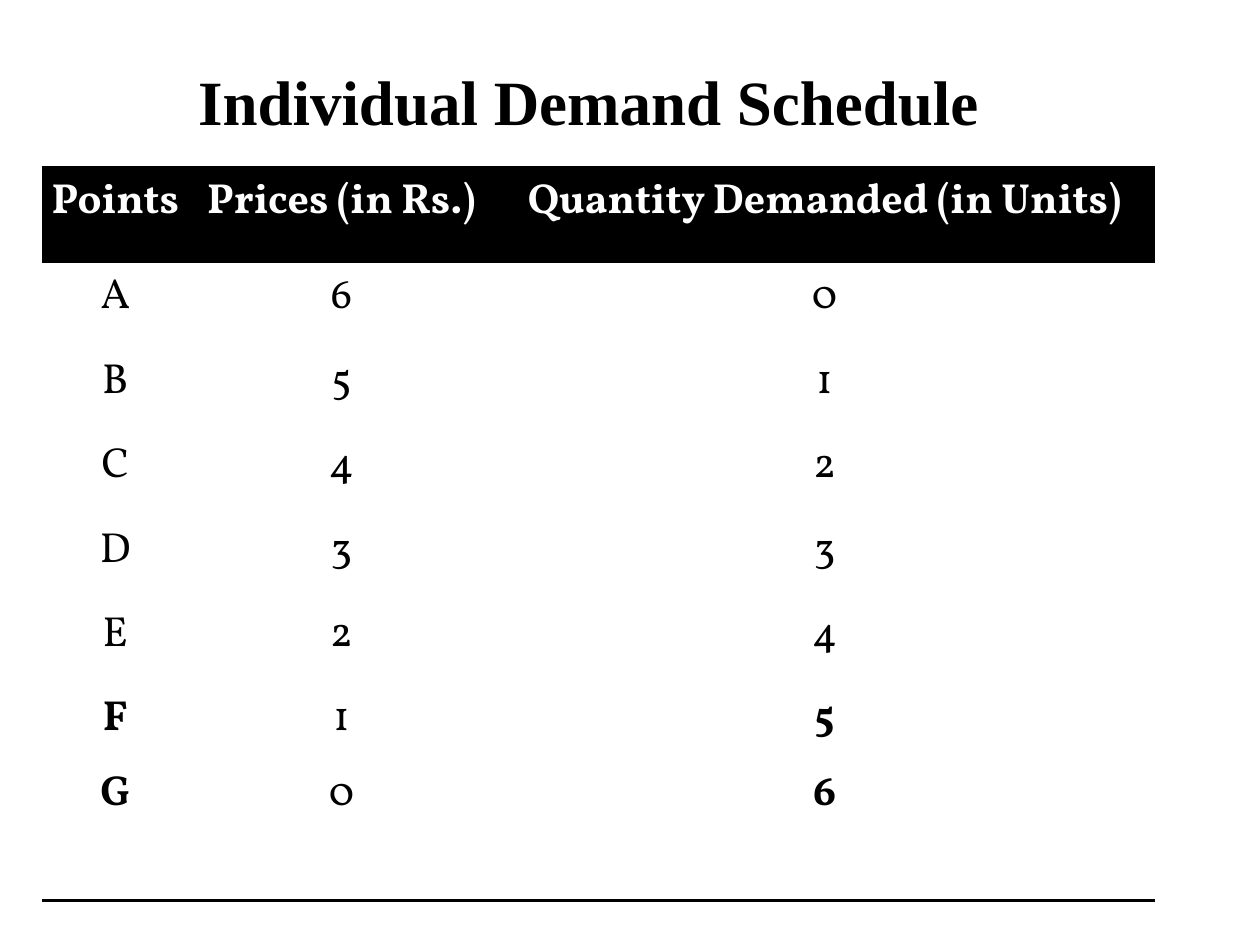
"""Build the individual demand schedule slide."""
import lxml.etree
import pptx
import pptx.dml.color
import pptx.enum.text
import pptx.oxml.ns
import pptx.util

Inches, Pt = pptx.util.Inches, pptx.util.Pt
COLORS = {"ink": "000000", "paper": "FFFFFF"}
HEADINGS = ["Points", "Prices (in Rs.)", "Quantity Demanded (in Units)"]
SCHEDULE = [("A", "6", "0"), ("B", "5", "1"), ("C", "4", "2"), ("D", "3", "3"),
            ("E", "2", "4"), ("F\nG", "1\n0", "5\n6")]
COLUMN_WIDTHS = [1.17, 2.42, 5.25]
ROW_HEIGHTS = [0.76] + [0.67] * 5 + [1.71]


def rgb(name):
    return pptx.dml.color.RGBColor.from_string(COLORS[name])


def write(frame, text, *, font, size, color="ink", bold=False, line=None, gap=0):
    frame.word_wrap = True
    frame.text = text
    for paragraph in frame.paragraphs:
        paragraph.alignment = pptx.enum.text.PP_ALIGN.CENTER
        paragraph.line_spacing = line
        paragraph.space_before = paragraph.space_after = Pt(gap)
        for run in paragraph.runs:
            run.font.name, run.font.size, run.font.bold = font, Pt(size), bold
            run.font.color.rgb = rgb(color)


def set_borders(cell, ruled):
    qn = pptx.oxml.ns.qn
    properties = cell._tc.get_or_add_tcPr()
    for position, side in enumerate(("lnL", "lnR", "lnT", "lnB")):
        border = lxml.etree.Element(qn(f"a:{side}"), w=str(Pt(2)))
        if side in ruled:
            fill = lxml.etree.SubElement(border, qn("a:solidFill"))
            lxml.etree.SubElement(fill, qn("a:srgbClr"), val=COLORS["ink"])
        else:
            lxml.etree.SubElement(border, qn("a:noFill"))
        properties.insert(position, border)


def fill_cell(cell, text, background, color, bold, ruled):
    cell.margin_left = cell.margin_right = Inches(0.07)
    cell.margin_top = cell.margin_bottom = 0
    cell.fill.solid()
    cell.fill.fore_color.rgb = rgb(background)
    write(cell.text_frame, text, font="Vollkorn", size=24, color=color,
          bold=bold, line=1.1, gap=3)
    set_borders(cell, ruled)


def add_title(slide, text):
    title = slide.shapes.add_textbox(Inches(0.42), Inches(0.35), Inches(8.5), Inches(0.9))
    title.text_frame.vertical_anchor = pptx.enum.text.MSO_ANCHOR.MIDDLE
    write(title.text_frame, text, font="Times New Roman", size=36, bold=True)


def add_schedule(slide):
    rows = [HEADINGS] + SCHEDULE
    table = slide.shapes.add_table(
        len(rows), len(HEADINGS), Inches(0.33), Inches(1.33),
        Inches(sum(COLUMN_WIDTHS)), Inches(sum(ROW_HEIGHTS))).table
    table.first_row = table.horz_banding = False
    for column, width in zip(table.columns, COLUMN_WIDTHS):
        column.width = Inches(width)
    for r, (row, height) in enumerate(zip(rows, ROW_HEIGHTS)):
        table.rows[r].height = Inches(height)
        heading, last = r == 0, r == len(rows) - 1
        background, color = ("ink", "paper") if heading else ("paper", "ink")
        ruled = ("lnT", "lnB") if heading else ("lnB",) if last else ()
        for c, text in enumerate(row):
            bold = heading or (last and c != 1)
            fill_cell(table.cell(r, c), text, background, color, bold, ruled)


def main():
    deck = pptx.Presentation()
    deck.slide_width, deck.slide_height = Inches(10), Inches(7.5)
    slide = deck.slides.add_slide(deck.slide_layouts[6])
    add_title(slide, "Individual Demand Schedule")
    add_schedule(slide)
    deck.save("out.pptx")


if __name__ == "__main__":
    main()
